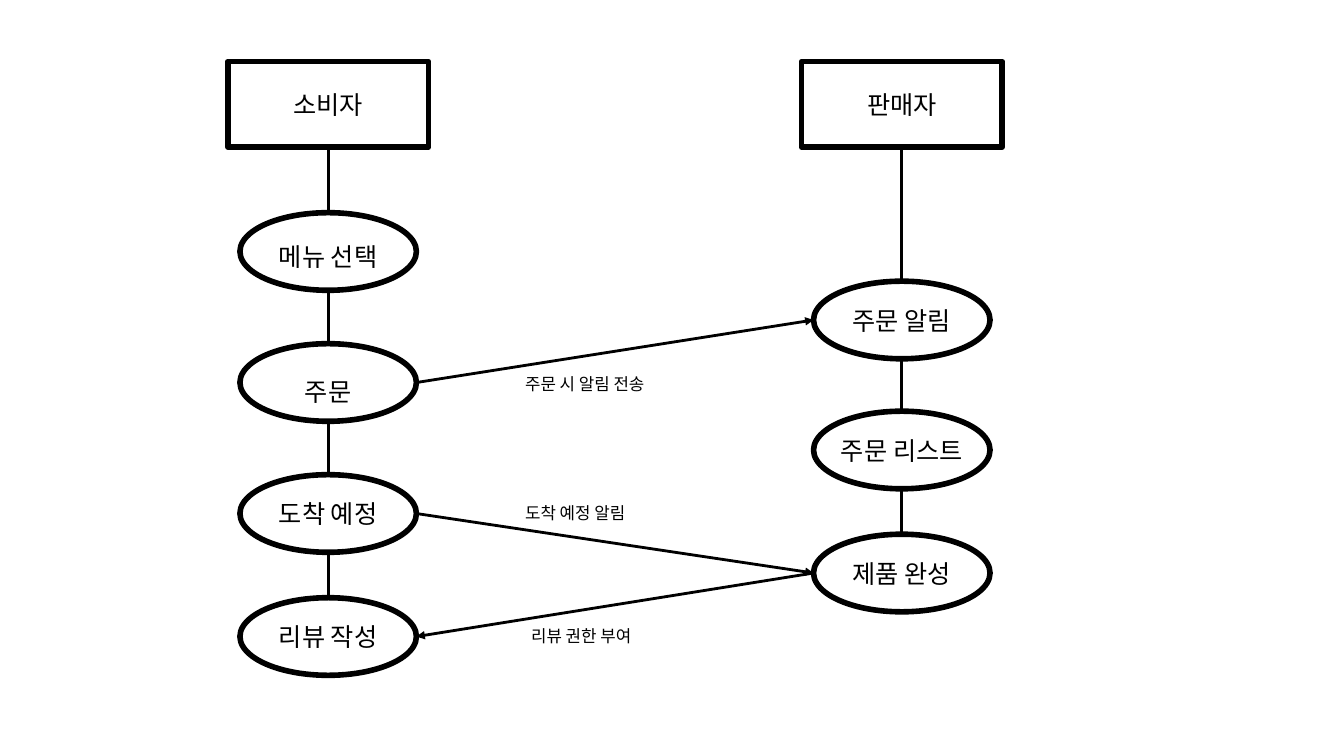
from dataclasses import dataclass

from lxml import etree
from pptx import Presentation
from pptx import util as u
from pptx.dml.color import RGBColor
from pptx.enum import shapes, text
from pptx.oxml import ns

BLACK = RGBColor(0, 0, 0)
FONT = "Noto Sans CJK KR"
BOX, OVAL = shapes.MSO_SHAPE.RECTANGLE, shapes.MSO_SHAPE.OVAL

# Places and sizes are percentages of the slide's width and height.
BUYER, SELLER = 24.42, 67.1
SIZES = {BOX: (14.93, 11.33), OVAL: (13.13, 10.27)}
# Connection sites of each outline, by side.
SITES = {
    BOX: {"top": 0, "left": 1, "bottom": 2, "right": 3},
    OVAL: {"top": 0, "left": 2, "bottom": 4, "right": 6},
}

deck = Presentation()
deck.slide_width, deck.slide_height = u.Inches(13.33), u.Inches(7.5)
slide = deck.slides.add_slide(deck.slide_layouts[6])


@dataclass
class Node:
    """A step of one lane, placed by its centre; drop lowers its words."""
    name: str
    col: float
    row: float
    kind: shapes.MSO_SHAPE = OVAL
    drop: float = 0


@dataclass
class Note:
    """A small caption, placed by its left edge and middle."""
    name: str
    left: float
    row: float


def wide(part: float) -> int:
    """Turn a percentage of the slide's width into a length."""
    return round(deck.slide_width * part / 100)


def high(part: float) -> int:
    """Turn a percentage of the slide's height into a length."""
    return round(deck.slide_height * part / 100)


def write(frame, words: str, size: int, align) -> None:
    """Put one line of text, set in the slide's font, into a frame."""
    frame.word_wrap = False
    frame.vertical_anchor = text.MSO_ANCHOR.MIDDLE
    para = frame.paragraphs[0]
    para.text, para.alignment = words, align
    font = para.font
    font.size, font.name = u.Pt(size), FONT
    font.color.rgb = BLACK
    etree.SubElement(font._element, ns.qn("a:ea"), typeface=FONT)


def draw(node: Node):
    """Draw a step as an outlined shape with its name inside."""
    w, h = SIZES[node.kind]
    shape = slide.shapes.add_shape(
        node.kind, wide(node.col - w / 2), high(node.row - h / 2), wide(w), high(h))
    shape.shadow.inherit = False
    shape.fill.background()
    shape.line.color.rgb, shape.line.width = BLACK, u.Pt(4)
    frame = shape.text_frame
    frame.margin_top, frame.margin_bottom = high(2 * node.drop), 0
    write(frame, node.name, 18, text.PP_ALIGN.CENTER)
    return shape


def point(shape, side: str) -> tuple[int, int]:
    """Find the middle of one side of a shape."""
    x = {"left": 0, "right": shape.width}.get(side, shape.width // 2)
    y = {"top": 0, "bottom": shape.height}.get(side, shape.height // 2)
    return shape.left + x, shape.top + y


def link(start, side: str, end, goal: str, arrow: bool = False) -> None:
    """Join two shapes by a straight line glued to the given sides."""
    line = slide.shapes.add_connector(
        shapes.MSO_CONNECTOR.STRAIGHT, *point(start, side), *point(end, goal))
    line.line.color.rgb, line.line.width = BLACK, u.Pt(2)
    if arrow:
        etree.SubElement(line.line._get_or_add_ln(), ns.qn("a:tailEnd"), type="triangle")
    etree.SubElement(line._element.spPr, ns.qn("a:effectLst"))
    glue = line._element.find(".//" + ns.qn("p:cNvCxnSpPr"))
    for tag, shape, at in (("a:stCxn", start, side), ("a:endCxn", end, goal)):
        site = SITES[shape.auto_shape_type][at]
        etree.SubElement(glue, ns.qn(tag), id=str(shape.shape_id), idx=str(site))


def label(note: Note) -> None:
    """Draw a caption beside an arrow."""
    h = 4
    box = slide.shapes.add_textbox(
        wide(note.left), high(note.row - h / 2), wide(11.7), high(h))
    write(box.text_frame, note.name, 12, text.PP_ALIGN.LEFT)


LANES = [
    [Node("소비자", BUYER, 13.8, BOX),
     Node("메뉴 선택", BUYER, 33.27, drop=0.6),
     Node("주문", BUYER, 50.6, drop=1.15),
     Node("도착 예정", BUYER, 67.93),
     Node("리뷰 작성", BUYER, 84.2)],
    [Node("판매자", SELLER, 13.8, BOX),
     Node("주문 알림", SELLER, 42.33),
     Node("주문 리스트", SELLER, 59.53),
     Node("제품 완성", SELLER, 75.8)],
]
NOTES = [
    Note("주문 시 알림 전송", 38.33, 50.8),
    Note("도착 예정 알림", 38.33, 67.87),
    Note("리뷰 권한 부여", 38.78, 84.13),
]

steps = {}
for lane in LANES:
    for node in lane:
        steps[node.name] = draw(node)
    for upper, lower in zip(lane, lane[1:]):
        link(steps[upper.name], "bottom", steps[lower.name], "top")

link(steps["주문"], "right", steps["주문 알림"], "left", arrow=True)
link(steps["도착 예정"], "right", steps["제품 완성"], "left", arrow=True)
link(steps["제품 완성"], "left", steps["리뷰 작성"], "right", arrow=True)

for note in NOTES:
    label(note)

deck.save("out.pptx")
